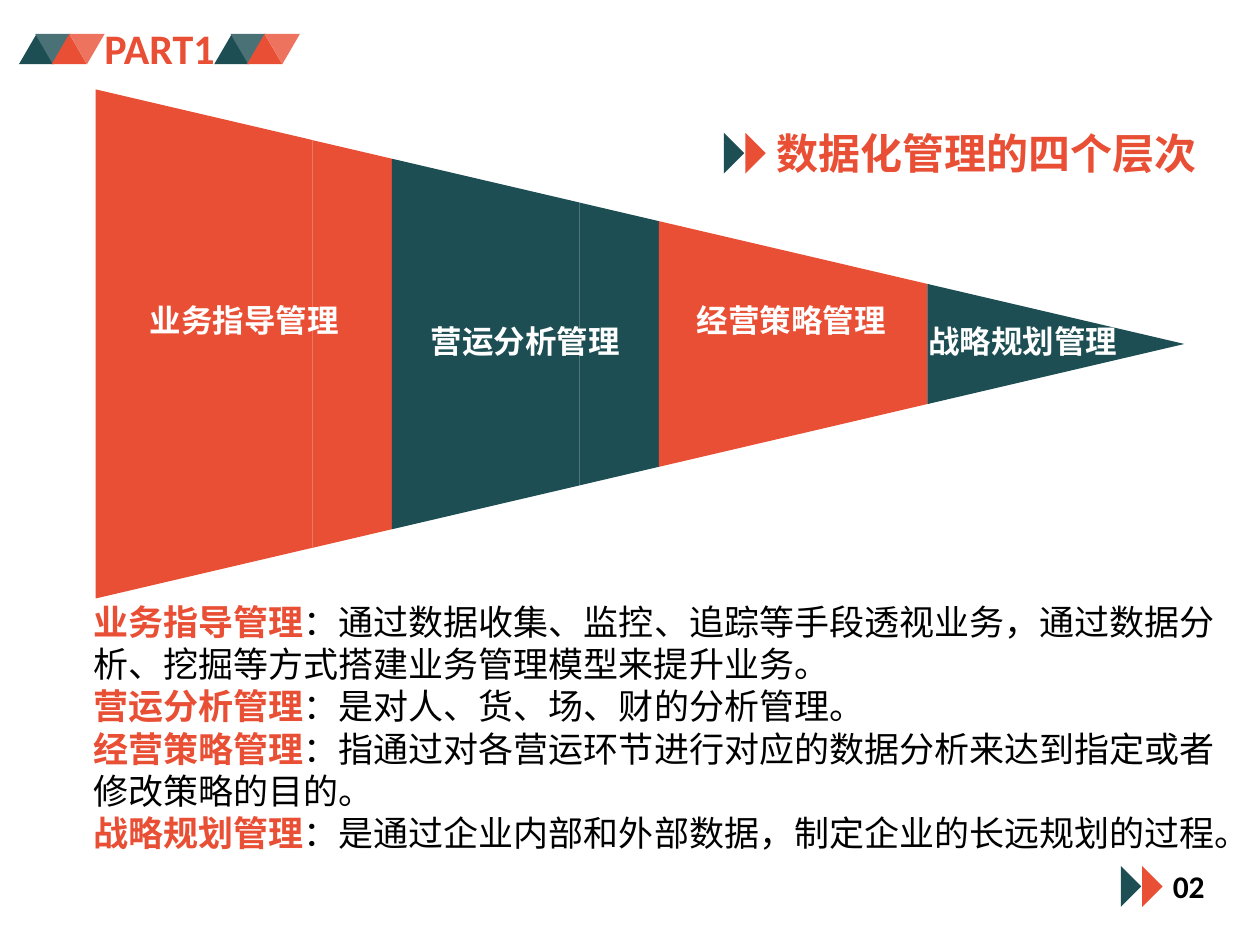
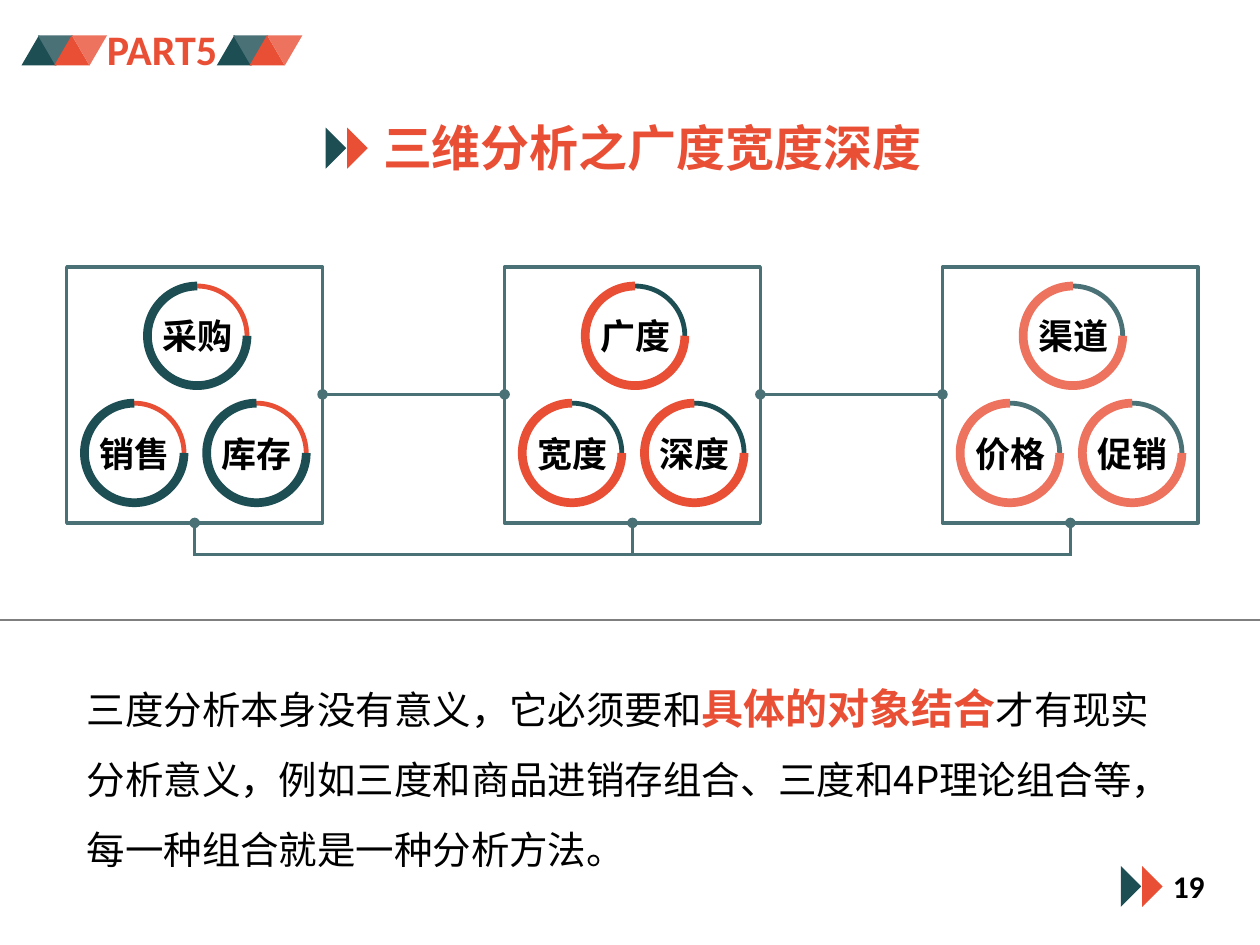
from itertools import pairwise

from lxml.etree import SubElement
from pptx import Presentation
from pptx.dml.color import RGBColor
from pptx.enum.lang import MSO_LANGUAGE_ID
from pptx.enum.shapes import MSO_CONNECTOR, MSO_SHAPE
from pptx.enum.text import MSO_ANCHOR, MSO_AUTO_SIZE, PP_ALIGN
from pptx.oxml.ns import qn
from pptx.util import Inches, Pt


class Theme:
    orange, teal = "E94F35", "1D4E53"
    coral, slate = "ED735E", "4A7176"
    black, white, rule = "000000", "FFFFFF", "7F7F7F"
    latin, chinese = "Calibri", "Noto Sans CJK SC"
    title, wide_title, chapter = 24, 28, 24
    label, page, levels_text, ring_text = 18, 18, 20, 20
    summary, summary_strong = 22, 24


# Content: the four levels of slide 1
LEVELS_SLIDE = {
    "chapter": "PART1", "chapter_at": (0.15, 0.27), "page": "02",
    "title": "数据化管理的四个层次", "title_box": (6.06, 0.96, 3.77, 0.5),
    "title_size": Theme.title, "arrow_at": (5.63, 1.1),
}
LEVELS = [
    ("业务指导管理", "：通过数据收集、监控、追踪等手段透视业务，通过数据分析、挖掘等方式搭建业务管理模型来提升业务。"),
    ("营运分析管理", "：是对人、货、场、财的分析管理。"),
    ("经营策略管理", "：指通过对各营运环节进行对应的数据分析来达到指定或者修改策略的目的。"),
    ("战略规划管理", "：是通过企业内部和外部数据，制定企业的长远规划的过程。"),
]
LEVEL_LABELS_AT = [(1.09, 2.34), (3.32, 2.51), (5.43, 2.34), (7.27, 2.51)]

# Wedge: slice edges, slice colours, axis height and half height at the base
WEDGE_EDGES = [0.76, 2.48, 3.11, 4.6, 5.23, 6.73, 7.36, 9.4]
WEDGE_COLOURS = [Theme.orange, Theme.orange, Theme.teal, Theme.teal,
                 Theme.orange, Theme.orange, Theme.teal]
WEDGE_AXIS, WEDGE_HALF = 2.73, 2.02

# Content: the three dimensions of slide 2
DIMENSIONS_SLIDE = {
    "chapter": "PART5", "chapter_at": (0.17, 0.28), "page": "19",
    "title": "三维分析之广度宽度深度", "title_box": (2.94, 0.88, 4.6, 0.57),
    "title_size": Theme.wide_title, "arrow_at": (2.47, 1.06),
}
PANELS = [  # ring words, thin colour, thick colour
    (("采购", "销售", "库存"), Theme.orange, Theme.teal),
    (("广度", "宽度", "深度"), Theme.teal, Theme.orange),
    (("渠道", "价格", "促销"), Theme.slate, Theme.coral),
]
SUMMARY = [
    ("三度分析本身没有意义，它必须要和", Theme.summary, Theme.black, False),
    ("具体的对象结合", Theme.summary_strong, Theme.orange, True),
    ("才有现实分析意义，例如三度和商品进销存组合、三度和4P理论组合等，每一种组合就是一种分析方法。",
     Theme.summary, Theme.black, False),
]
PANEL_LEFT, PANEL_RIGHTMOST, PANEL_TOP, PANEL_SIZE = 0.53, 7.48, 2.12, 2.03
RING_OFFSETS = [(0.64, 0.15), (0.14, 1.08), (1.11, 1.08)]
RING_SIZE = 0.79


# Drawing helpers
def inches(*lengths):
    return [Inches(length) for length in lengths]


def write(frame, paragraphs, typeface=Theme.chinese, wrap=True, spacing=None):
    """Fill a text frame; each paragraph is a list of (text, size, colour, bold)."""
    settings = {"word_wrap": wrap, "auto_size": MSO_AUTO_SIZE.NONE,
                "vertical_anchor": MSO_ANCHOR.TOP}
    for name, value in settings.items():
        setattr(frame, name, value)
    for number, runs in enumerate(paragraphs):
        paragraph = frame.add_paragraph() if number else frame.paragraphs[0]
        paragraph.alignment = PP_ALIGN.LEFT
        if spacing:
            paragraph.line_spacing = spacing
        for words, size, colour, bold in runs:
            run = paragraph.add_run()
            run.text = words
            formats = {"size": Pt(size), "bold": bold, "name": typeface,
                       "language_id": MSO_LANGUAGE_ID.SIMPLIFIED_CHINESE}
            for name, value in formats.items():
                setattr(run.font, name, value)
            run.font.color.rgb = RGBColor.from_string(colour)
            SubElement(run.font._element, qn("a:ea"), typeface=typeface)


def add_text(slide, box, paragraphs, **options):
    write(slide.shapes.add_textbox(*inches(*box)).text_frame, paragraphs, **options)


def paint(shape, fill=None, line=None, width=1):
    shape.shadow.inherit = False
    if fill:
        shape.fill.solid()
        shape.fill.fore_color.rgb = RGBColor.from_string(fill)
    else:
        shape.fill.background()
    if line:
        shape.line.color.rgb = RGBColor.from_string(line)
        shape.line.width = Pt(width)
    else:
        shape.line.fill.background()


def add_preset(slide, preset, box, rotation=0, **colours):
    shape = slide.shapes.add_shape(preset, *inches(*box))
    shape.rotation = rotation
    paint(shape, **colours)
    return shape


def add_line(slide, start, end, colour=Theme.slate, width=2, dots=()):
    connector = slide.shapes.add_connector(
        MSO_CONNECTOR.STRAIGHT, *inches(*start, *end))
    connector.line.color.rgb = RGBColor.from_string(colour)
    connector.line.width = Pt(width)
    properties = connector._element.spPr
    for dot in dots:
        SubElement(properties.find(qn("a:ln")), qn(f"a:{dot}"), type="oval")
    SubElement(properties, qn("a:effectLst"))


# Pieces shared by the slides
def add_double_arrow(slide, left, top):
    for shift, colour in ((0.17, Theme.orange), (0, Theme.teal)):
        add_preset(slide, MSO_SHAPE.RIGHT_TRIANGLE,
                   (left + shift, top, 0.23, 0.23), 225, fill=colour)


def add_chapter_mark(slide, chapter, left, top):
    band = [(0, Theme.teal, 0), (0.13, Theme.slate, 180),
            (0.26, Theme.orange, 0), (0.4, Theme.coral, 180)]
    for band_left in (left, left + 1.55):
        for shift, colour, rotation in band:
            add_preset(slide, MSO_SHAPE.ISOSCELES_TRIANGLE,
                       (band_left + shift, top, 0.28, 0.24), rotation, fill=colour)
    add_text(slide, (left + 0.58, top - 0.14, 1.08, 0.5),
             [[(chapter, Theme.chapter, Theme.orange, True)]],
             typeface=Theme.latin, wrap=False)


def start_slide(deck, content):
    slide = deck.slides.add_slide(deck.slide_layouts[5])
    title = slide.shapes.title
    sides = ("left", "top", "width", "height")
    for side, length in zip(sides, inches(*content["title_box"])):
        setattr(title, side, length)
    write(title.text_frame,
          [[(content["title"], content["title_size"], Theme.orange, True)]])
    add_double_arrow(slide, *content["arrow_at"])
    add_chapter_mark(slide, content["chapter"], *content["chapter_at"])
    add_double_arrow(slide, 8.78, 6.92)
    add_text(slide, (9.21, 6.83, 0.46, 0.4),
             [[(content["page"], Theme.page, Theme.black, True)]],
             typeface=Theme.latin, wrap=False)
    return slide


# Slide 1: wedge of levels
def half_height(x):
    base, tip = WEDGE_EDGES[0], WEDGE_EDGES[-1]
    return WEDGE_HALF * (tip - x) / (tip - base)


def build_levels(deck):
    slide = start_slide(deck, LEVELS_SLIDE)
    for (left, right), colour in zip(pairwise(WEDGE_EDGES), WEDGE_COLOURS):
        corners = [inches(x, WEDGE_AXIS + sign * half_height(x))
                   for x, sign in ((left, -1), (right, -1), (right, 1), (left, 1))]
        outline = slide.shapes.build_freeform(*corners[0])
        outline.add_line_segments(corners[1:], close=True)
        paint(outline.convert_to_shape(), fill=colour)
    for (level, _), (left, top) in zip(LEVELS, LEVEL_LABELS_AT):
        add_text(slide, (left, top, 1.79, 0.4),
                 [[(level, Theme.label, Theme.white, True)]])
    add_text(slide, (0.64, 4.72, 9.18, 2.12),
             [[(level, Theme.levels_text, Theme.orange, True),
               (meaning, Theme.levels_text, Theme.black, False)]
              for level, meaning in LEVELS])


# Slide 2: linked panels of rings
def add_ring(slide, word, left, top, thin, thick):
    box = (left, top, RING_SIZE, RING_SIZE)
    add_preset(slide, MSO_SHAPE.OVAL, box, line=thin, width=2.75)
    arc = add_preset(slide, MSO_SHAPE.ARC, box, line=thick, width=5)
    arc.adjustments[0], arc.adjustments[1] = 0, 162  # from 0 to 270 degrees
    add_text(slide, (left + 0.02, top + 0.18, 0.76, 0.44),
             [[(word, Theme.ring_text, Theme.black, True)]], wrap=False)


def build_dimensions(deck):
    slide = start_slide(deck, DIMENSIONS_SLIDE)
    step = (PANEL_RIGHTMOST - PANEL_LEFT) / (len(PANELS) - 1)
    lefts = [PANEL_LEFT + step * number for number in range(len(PANELS))]
    centres = [left + PANEL_SIZE / 2 for left in lefts]
    for left, (words, thin, thick) in zip(lefts, PANELS):
        for word, (across, down) in zip(words, RING_OFFSETS):
            add_ring(slide, word, left + across, PANEL_TOP + down, thin, thick)
        add_preset(slide, MSO_SHAPE.RECTANGLE,
                   (left, PANEL_TOP, PANEL_SIZE, PANEL_SIZE),
                   line=Theme.slate, width=2)

    # Links between panels, then the bus below them
    middle, bottom, bus = PANEL_TOP + 1.01, PANEL_TOP + PANEL_SIZE, 4.4
    for left, following in pairwise(lefts):
        add_line(slide, (left + PANEL_SIZE, middle), (following, middle),
                 dots=("headEnd", "tailEnd"))
    add_line(slide, (centres[0], bus), (centres[-1], bus))
    for centre in centres:
        add_line(slide, (centre, bottom), (centre, bus + 0.01), dots=("headEnd",))

    add_line(slide, (0, 4.92), (10, 4.92), Theme.rule, 0.75)
    add_text(slide, (0.59, 5.17, 8.82, 1.82), [SUMMARY], spacing=1.5)


def main():
    deck = Presentation()
    deck.slide_width, deck.slide_height = inches(10, 7.5)
    build_levels(deck)
    build_dimensions(deck)
    deck.save("out.pptx")


if __name__ == "__main__":
    main()
